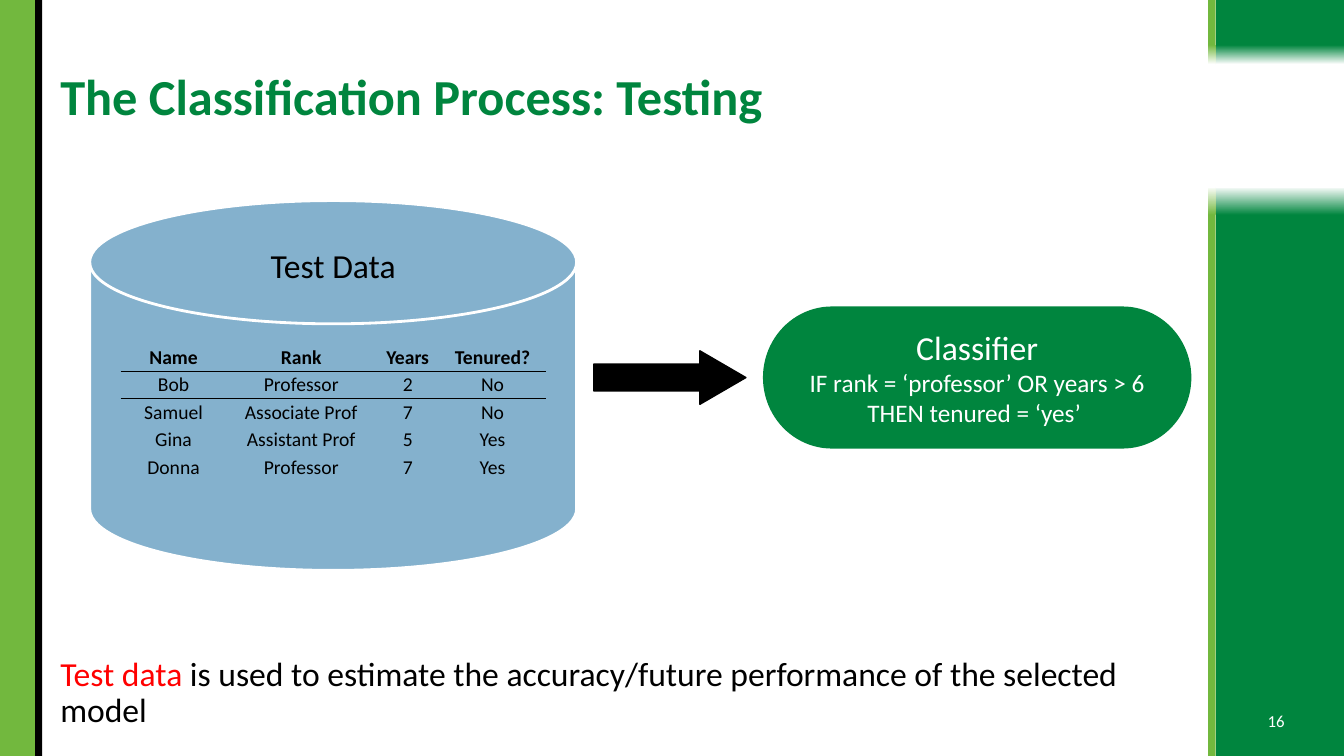
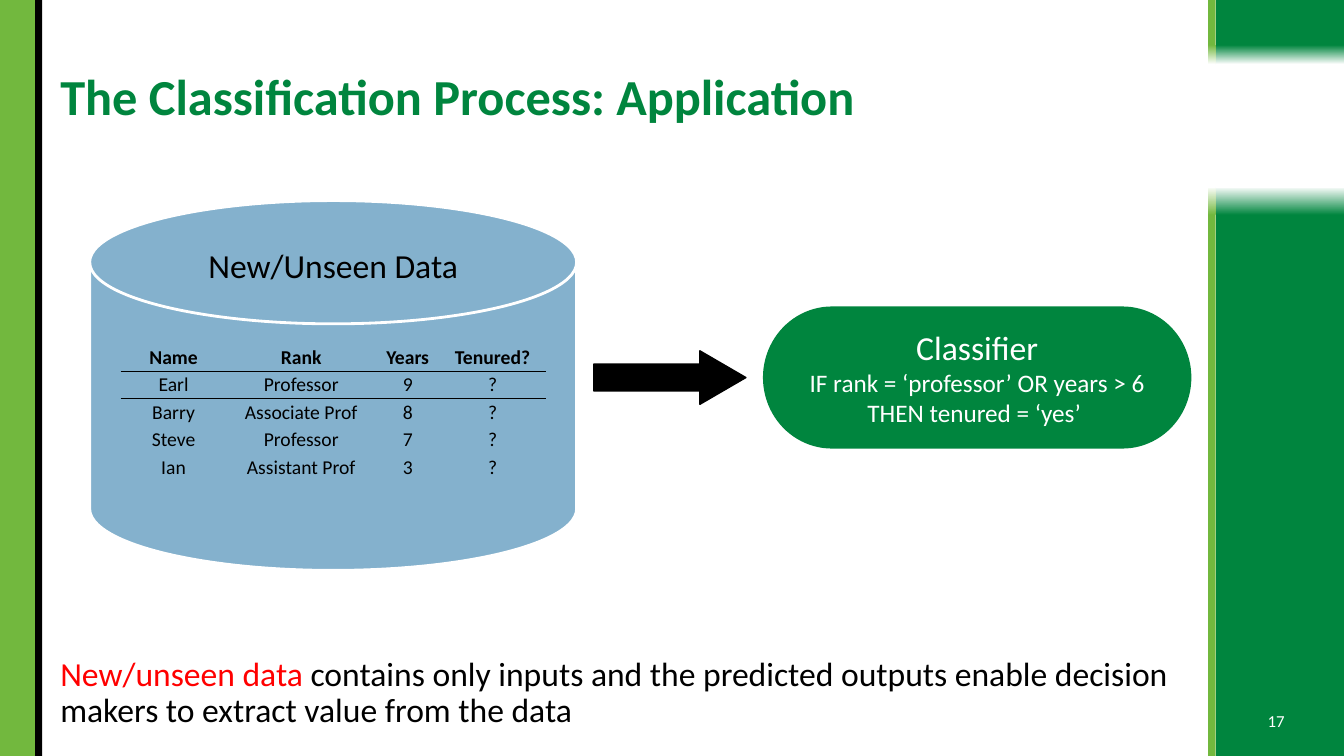
import lxml.etree
import pptx
import pptx.dml.color
import pptx.enum.shapes
import pptx.enum.text
import pptx.oxml.ns
import pptx.util

Pt = pptx.util.Pt
SHAPE = pptx.enum.shapes.MSO_SHAPE
ALIGN = pptx.enum.text.PP_ALIGN
ANCHOR = pptx.enum.text.MSO_ANCHOR

FONT = "Calibri"
GREEN, LIME, BLUE = "00853E", "72B83E", "84B1CD"
BLACK, WHITE, RED = "000000", "FFFFFF", "FF0000"
PAGE_WIDTH, PAGE_HEIGHT = 960, 540
NO_TABLE_STYLE = "{2D5ABB26-0587-4C30-8999-92F81FD0307C}"

TITLE_BOX = (36, 28.8, 820.8, 83.5)
CAPTION_BOX = (36, 465.8, 820.8, 63.4)
NUMBER_BOX = (892.8, 500.4, 37.4, 28.8)
DISK_BOX = (64.1, 143.3, 347.8, 264.2)
ARROW_BOX = (424.1, 250.6, 108.7, 38.2)
CLASSIFIER_BOX = (545, 218.9, 306, 101.5)

COLUMN_WIDTHS = (75.6, 106.8, 45.4, 75.8)
ROW_HEIGHT = 19.7
CELL_MARGIN = 1.44
HEADINGS = ("Name", "Rank", "Years", "Tenured?")
RULES = (
    ("Classifier", 24),
    ("IF rank = ‘professor’ OR years > 6", 18),
    ("THEN tenured = ‘yes’ ", 18),
)


def color(hex_string):
    """Turn a hex string into a colour."""
    return pptx.dml.color.RGBColor.from_string(hex_string)


def points(box):
    """Turn a box of numbers into lengths in points."""
    return [Pt(length) for length in box]


def style(para, size, hex_string, align=ALIGN.LEFT, bold=False):
    """Set the font and alignment of a whole paragraph."""
    para.alignment = align
    para.font.name = FONT
    para.font.size = Pt(size)
    para.font.bold = bold
    para.font.color.rgb = color(hex_string)


def add_block(page, kind, box, fill=None, line=None, line_width=1):
    """Add a preset shape without shadow, with a plain fill and optional line."""
    block = page.shapes.add_shape(kind, *points(box))
    block.shadow.inherit = False
    if fill:
        block.fill.solid()
        block.fill.fore_color.rgb = color(fill)
    if line:
        block.line.color.rgb = color(line)
        block.line.width = Pt(line_width)
    else:
        block.line.fill.background()
    return block


def add_text(page, box, anchor=ANCHOR.TOP):
    """Add a wrapping text box and return its first paragraph."""
    frame = page.shapes.add_textbox(*points(box)).text_frame
    frame.word_wrap = True
    frame.vertical_anchor = anchor
    return frame.paragraphs[0]


def add_fading_band(page, box, hex_string, solid_percent, rotation):
    """Add a band that fades to white at its far end."""
    band = add_block(page, SHAPE.RECTANGLE, box)
    band.rotation = rotation
    band.fill.gradient()
    band.fill.gradient_angle = 270
    ends = ((solid_percent / 100, hex_string), (1, WHITE))
    for stop, (position, stop_color) in zip(band.fill.gradient_stops, ends):
        stop.position = position
        stop.color.rgb = color(stop_color)


def add_bands(page):
    """Draw the bands at the left and right edges of the page."""
    for top, height, solid_percent, rotation in ((0, 46, 70, 0), (133.2, 406.8, 95, 180)):
        for left, width, hex_string in ((868.3, 91.7, GREEN), (862.6, 5.7, LIME)):
            add_fading_band(page, (left, top, width, height), hex_string, solid_percent, rotation)
    for left, width, hex_string in ((0, 25.2, LIME), (25.2, 5, BLACK)):
        add_block(page, SHAPE.RECTANGLE, (left, 0, width, PAGE_HEIGHT), hex_string)


def add_title(page, box, text):
    """Write the page title."""
    para = add_text(page, box, ANCHOR.MIDDLE)
    para.text = text
    para.line_spacing = 0.9
    style(para, 36, GREEN, bold=True)


def add_caption(page, box, term, explanation):
    """Write the sentence at the foot, with its term in red."""
    para = add_text(page, box)
    para.line_spacing = 0.9
    para.space_before = Pt(10)
    style(para, 24, BLACK)
    for text, hex_string in ((term, RED), (explanation, BLACK)):
        span = para.add_run()
        span.text = text
        span.font.color.rgb = color(hex_string)


def add_page_number(page, box, number):
    """Write the page number on the right band."""
    para = add_text(page, box, ANCHOR.MIDDLE)
    para.text = str(number)
    style(para, 12, WHITE, ALIGN.CENTER)


def add_border(cell, tag):
    """Rule one side of a cell with a thin black line."""
    properties = cell._tc.get_or_add_tcPr()
    border = lxml.etree.Element(pptx.oxml.ns.qn(tag), w=str(Pt(1)))
    fill = lxml.etree.SubElement(border, pptx.oxml.ns.qn("a:solidFill"))
    lxml.etree.SubElement(fill, pptx.oxml.ns.qn("a:srgbClr"), val=BLACK)
    properties.insert(0, border)


def add_records(page, left, top, records):
    """Add the table of people below its heading row."""
    rows = (HEADINGS, *records)
    box = (left, top, sum(COLUMN_WIDTHS), ROW_HEIGHT * len(rows))
    frame = page.shapes.add_table(len(rows), len(HEADINGS), *points(box))
    table = frame.table
    table.first_row = table.horz_banding = False
    for style_id in frame.element.iter(pptx.oxml.ns.qn("a:tableStyleId")):
        style_id.text = NO_TABLE_STYLE
    for column, width in zip(table.columns, COLUMN_WIDTHS):
        column.width = Pt(width)
    for row_index, row in enumerate(rows):
        table.rows[row_index].height = Pt(ROW_HEIGHT)
        for column_index, text in enumerate(row):
            cell = table.cell(row_index, column_index)
            cell.margin_left = cell.margin_right = Pt(CELL_MARGIN)
            cell.margin_top = cell.margin_bottom = Pt(CELL_MARGIN)
            cell.fill.background()
            cell.text = text
            style(cell.text_frame.paragraphs[0], 14, BLACK, ALIGN.CENTER, row_index == 0)
            if row_index == 0:
                add_border(cell, "a:lnB")
            elif row_index == 1:
                add_border(cell, "a:lnT")


def add_data_store(page, box, label, records):
    """Draw the disk with its label on the lid and its table on the side."""
    left, top, width, _ = box
    add_block(page, SHAPE.FLOWCHART_MAGNETIC_DISK, box, BLUE, WHITE, 2)
    para = add_text(page, (left, top + 28, width, 36))
    para.text = label
    style(para, 24, BLACK, ALIGN.CENTER)
    add_records(page, left + (width - sum(COLUMN_WIDTHS)) / 2, top + 102.2, records)


def add_arrow(page, box):
    """Draw the block arrow from the data to the classifier."""
    arrow = add_block(page, SHAPE.RIGHT_ARROW, box, BLACK, BLACK)
    arrow.adjustments[1] = 0.86


def add_classifier(page, box):
    """Draw the classifier and write its rules."""
    frame = add_block(page, SHAPE.FLOWCHART_TERMINATOR, box, GREEN).text_frame
    frame.word_wrap = True
    frame.vertical_anchor = ANCHOR.MIDDLE
    for index, (text, size) in enumerate(RULES):
        para = frame.add_paragraph() if index else frame.paragraphs[0]
        para.text = text
        style(para, size, WHITE, ALIGN.CENTER)


def add_process_page(deck, number, step, label, records, term, explanation):
    """Build one page on a step of the classification process."""
    page = deck.slides.add_slide(deck.slide_layouts[6])
    add_bands(page)
    add_title(page, TITLE_BOX, f"The Classification Process: {step}")
    add_caption(page, CAPTION_BOX, term, explanation)
    add_page_number(page, NUMBER_BOX, number)
    add_arrow(page, ARROW_BOX)
    add_classifier(page, CLASSIFIER_BOX)
    add_data_store(page, DISK_BOX, label, records)


deck = pptx.Presentation()
deck.slide_width, deck.slide_height = Pt(PAGE_WIDTH), Pt(PAGE_HEIGHT)
add_process_page(
    deck, 16, "Testing", "Test Data",
    (
        ("Bob", "Professor", "2", "No"),
        ("Samuel", "Associate Prof", "7", "No"),
        ("Gina", "Assistant Prof", "5", "Yes"),
        ("Donna", "Professor", "7", "Yes"),
    ),
    "Test data ",
    "is used to estimate the accuracy/future performance of the selected model",
)
add_process_page(
    deck, 17, "Application", "New/Unseen Data",
    (
        ("Earl", "Professor", "9", "?"),
        ("Barry", "Associate Prof", "8", "?"),
        ("Steve", "Professor", "7", "?"),
        ("Ian", "Assistant Prof", "3", "?"),
    ),
    "New/unseen data ",
    "contains only inputs and the predicted outputs enable decision makers "
    "to extract value from the data",
)
deck.save("out.pptx")
